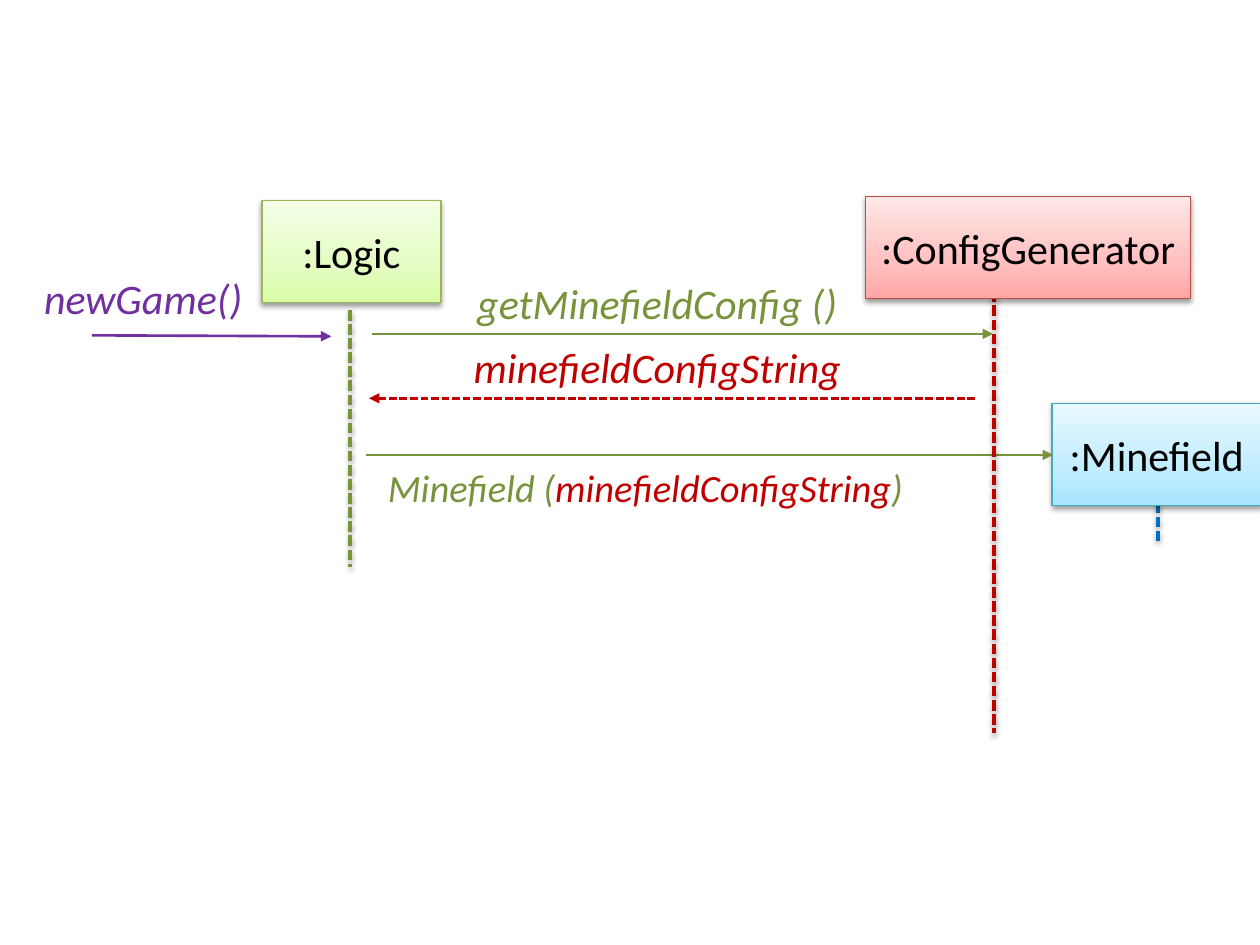
from lxml.etree import SubElement
from pptx import Presentation
from pptx.dml.color import RGBColor
from pptx.enum.dml import MSO_LINE
from pptx.enum.shapes import MSO_CONNECTOR, MSO_SHAPE
from pptx.enum.text import MSO_ANCHOR, PP_ALIGN
from pptx.oxml.ns import qn
from pptx.util import Cm, Pt

BLACK, GREEN, RED = "000000", "77933C", "C00000"
PURPLE, BLUE = "7030A0", "0070C0"


def color(code):
    """Turn a hex string into a colour."""
    return RGBColor.from_string(code)


def node(base, tag, **attrs):
    """Add a drawing element below base."""
    return SubElement(base, qn("a:" + tag), {k: str(v) for k, v in attrs.items()})


def write(frame, *runs, size=24, italic=False, align=PP_ALIGN.LEFT, font="Calibri"):
    """Fill a text frame with one paragraph of (text, colour) runs."""
    frame.word_wrap = True
    para = frame.paragraphs[0]
    para.alignment = align
    for text, code in runs:
        run = para.add_run()
        run.text = text
        run.font.name, run.font.size = font, Pt(size)
        run.font.italic = italic
        run.font.color.rgb = color(code)


class Diagram:
    """Draws the parts of a sequence diagram on one slide."""

    high = 2.06
    thin, bold, edge = 1.5, 2, 0.75

    def __init__(self, slide):
        """Keep the slide to draw on."""
        self.shapes = slide.shapes

    def effect(self, shape, shade):
        """Set a soft shadow, or none."""
        props = shape._element.spPr
        for old in props.findall(qn("a:effectLst")):
            props.remove(old)
        group = node(props, "effectLst")
        if shade:
            cast = node(group, "outerShdw", blurRad=Pt(3.1), dist=Pt(1.6),
                        dir=5400000, rotWithShape=0)
            node(node(cast, "srgbClr", val=BLACK), "alpha", val=38000)

    def line(self, start, end, code, width, dash, shade):
        """Draw a straight line between two points."""
        link = self.shapes.add_connector(
            MSO_CONNECTOR.STRAIGHT, *map(Cm, start + end))
        link.line.color.rgb = color(code)
        link.line.width = Pt(width)
        if dash:
            link.line.dash_style = MSO_LINE.SQUARE_DOT
            link.line._ln.find(qn("a:prstDash")).set("val", "sysDash")
        self.effect(link, shade)
        return link

    def life(self, x, top, end, code):
        """Draw a dashed lifeline."""
        self.line((x, top), (x, end), code, self.bold, True, True)

    def arrow(self, start, end, code, dash=False):
        """Draw a message arrow."""
        link = self.line(start, end, code, self.thin, dash, False)
        node(link.line._ln, "tailEnd", type="triangle")

    def label(self, x, y, width, height, *runs, size=24):
        """Place an italic message label."""
        box = self.shapes.add_textbox(Cm(x), Cm(y), Cm(width), Cm(height))
        write(box.text_frame, *runs, size=size, italic=True)

    def box(self, x, y, width, text, edge, tones):
        """Draw an object box with a gradient rising from its foot."""
        box = self.shapes.add_shape(
            MSO_SHAPE.RECTANGLE, Cm(x), Cm(y), Cm(width), Cm(self.high))
        box.fill.gradient()
        box.fill.gradient_angle = 90
        stops = box._element.spPr.find(qn("a:gradFill")).find(qn("a:gsLst"))
        for old in list(stops):
            stops.remove(old)
        for spot, tone in zip((0, 35, 100), tones):
            node(node(stops, "gs", pos=spot * 1000), "srgbClr", val=tone)
        box.line.color.rgb = color(edge)
        box.line.width = Pt(self.edge)
        self.effect(box, True)
        frame = box.text_frame
        frame.vertical_anchor = MSO_ANCHOR.MIDDLE
        frame.margin_top = frame.margin_bottom = Cm(0.5)
        write(frame, (text, BLACK), align=PP_ALIGN.CENTER)


deck = Presentation()
deck.slide_width, deck.slide_height = Cm(25.4), Cm(19.05)
art = Diagram(deck.slides.add_slide(deck.slide_layouts[6]))

art.life(23.34, 10.13, 10.9, BLUE)
art.box(21.21, 8.13, 4.22, ":Minefield", "46AAC5", ("A7E6FF", "C1EDFF", "E7F8FF"))
art.box(5.28, 4.04, 3.61, ":Logic", "98B955", ("DAFDA7", "E4FCC2", "F5FFE7"))
art.life(7.06, 6.25, 11.43, GREEN)
art.label(7.57, 9.22, 11.89, 1.19, ("Minefield (", GREEN),
          ("minefieldConfigString", RED), (")", GREEN), size=22)
art.label(0.64, 5.36, 4.62, 1.27, ("newGame()", PURPLE))
art.arrow((1.85, 6.76), (6.68, 6.78), PURPLE)
art.arrow((7.37, 9.17), (21.23, 9.17), GREEN)
art.life(20.04, 5.59, 14.78, RED)
art.box(17.45, 3.96, 6.55, ":ConfigGenerator", "BF4C48",
        ("FFA6A5", "FFC0BF", "FFE7E7"))
art.arrow((7.49, 6.73), (20.02, 6.73), GREEN)
art.label(9.37, 5.46, 7.92, 1.27, ("getMinefieldConfig ()", GREEN))
art.arrow((19.66, 8.03), (7.44, 8.03), RED, dash=True)
art.label(9.3, 6.76, 9.63, 1.27, ("minefieldConfigString", RED))

deck.save("out.pptx")
